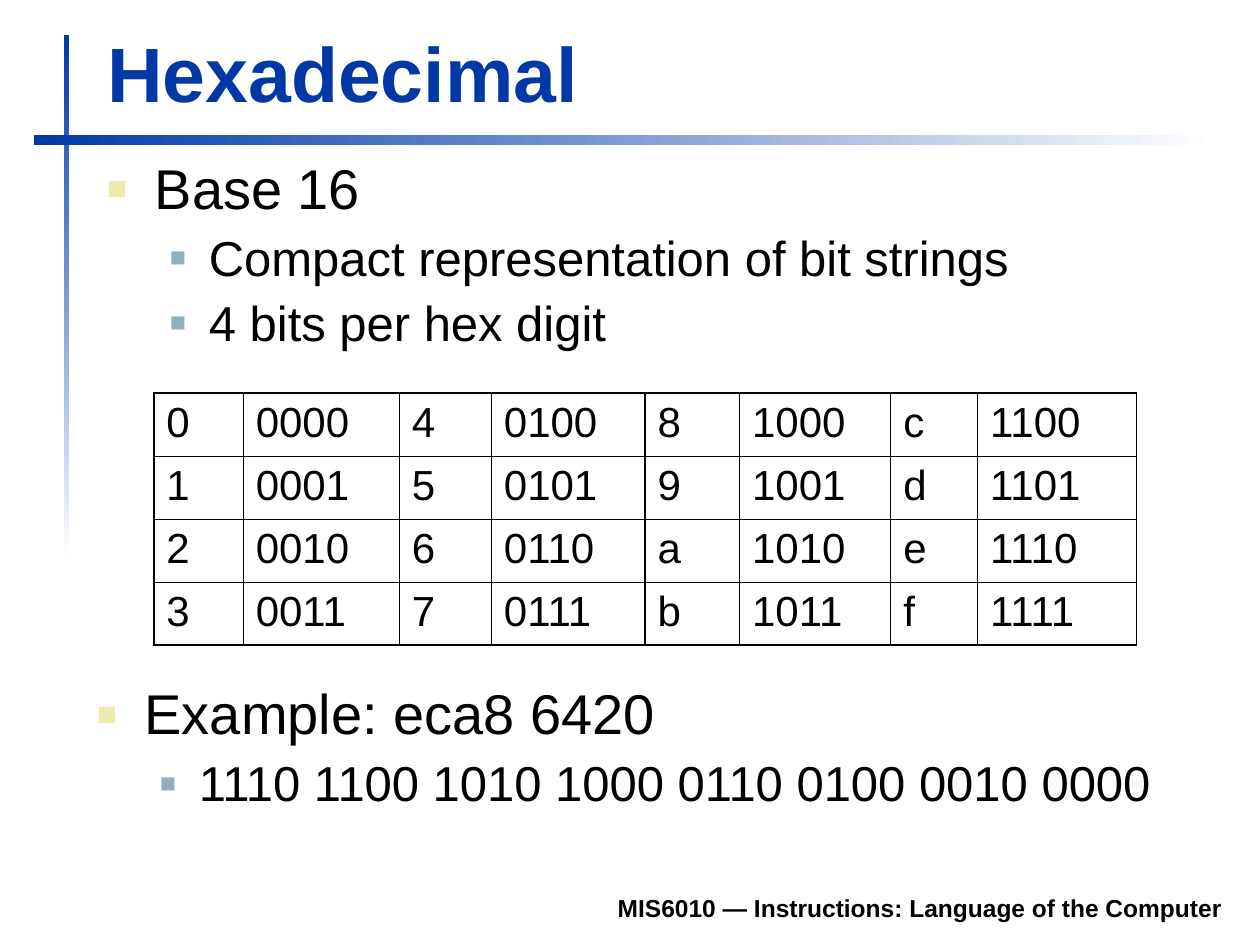
"""Build the slide on hexadecimal notation with its digit-to-bits table."""
from lxml import etree
from pptx import Presentation, util as u
from pptx.dml.color import RGBColor
from pptx.enum import shapes, text
from pptx.oxml import ns

BLUE = RGBColor(0x00, 0x39, 0xA6)
WHITE = RGBColor(0xFF, 0xFF, 0xFF)
BLACK = RGBColor(0x00, 0x00, 0x00)
YELLOW = RGBColor(0xEC, 0xEA, 0xAC)
STEEL = RGBColor(0x91, 0xAF, 0xBF)
FONT = "Arial"
LEVELS = [
    dict(indent=0.38, hang=0.38, before=8, size=32, bullet=YELLOW, percent=60),
    dict(indent=0.81, hang=0.31, before=7, size=28, bullet=STEEL, percent=55),
]


def set_font(paragraph, size, color=BLACK, bold=False):
    font = paragraph.font
    font.name, font.size, font.bold = FONT, u.Pt(size), bold
    font.color.rgb = color


def add_outline(slide, left, top, width, height, points):
    frame = slide.shapes.add_textbox(*map(u.Inches, (left, top, width, height))).text_frame
    frame.word_wrap = True
    for i, (level, wording) in enumerate(points):
        look = LEVELS[level]
        point = frame.paragraphs[0] if i == 0 else frame.add_paragraph()
        point.text, point.level, point.line_spacing = wording, level, 0.9
        point.space_before = u.Pt(look["before"] if i else 0)
        props = point._p.get_or_add_pPr()
        props.set("marL", str(u.Inches(look["indent"])))
        props.set("indent", str(-u.Inches(look["hang"])))
        bullet_color = etree.SubElement(props, ns.qn("a:buClr"))
        etree.SubElement(bullet_color, ns.qn("a:srgbClr"), val=str(look["bullet"]))
        etree.SubElement(props, ns.qn("a:buSzPct"), val=str(look["percent"] * 1000))
        etree.SubElement(props, ns.qn("a:buFont"), typeface=FONT)
        etree.SubElement(props, ns.qn("a:buChar"), char="■")
        set_font(point, look["size"])


prs = Presentation()
prs.slide_width, prs.slide_height = u.Inches(10), u.Inches(7.5)
slide = prs.slides.add_slide(prs.slide_layouts.get_by_name("Title Only"))

for *bounds, angle in [(0.51, 0.28, 0.04, 4.17, 270), (0.27, 1.07, 9.37, 0.08, 0)]:
    rule = slide.shapes.add_shape(shapes.MSO_SHAPE.RECTANGLE, *map(u.Inches, bounds))
    rule.shadow.inherit = False
    rule.line.fill.background()
    rule.fill.gradient()
    rule.fill.gradient_angle = angle
    for stop, color in zip(rule.fill.gradient_stops, (BLUE, WHITE)):
        stop.color.rgb = color

title = slide.shapes.title
title.left, title.top, title.width, title.height = map(u.Inches, (0.75, 0.16, 9.03, 0.83))
title.text_frame.text = "Hexadecimal"
title.text_frame.auto_size = text.MSO_AUTO_SIZE.NONE
title.text_frame.vertical_anchor = text.MSO_ANCHOR.BOTTOM
heading = title.text_frame.paragraphs[0]
heading.alignment = text.PP_ALIGN.LEFT
set_font(heading, 44, BLUE, bold=True)

add_outline(slide, 0.75, 1.23, 9.04, 1.73, [
    (0, "Base 16"),
    (1, "Compact representation of bit strings"),
    (1, "4 bits per hex digit"),
])

widths = [0.71, 1.24, 0.73, 1.22, 0.75, 1.2, 0.69, 1.26]
rows, cols = 4, len(widths)
digits = slide.shapes.add_table(
    rows, cols, *map(u.Inches, (1.22, 3.12, sum(widths), 0.5 * rows))).table
for column, width in zip(digits.columns, widths):
    column.width = u.Inches(width)
vertical = [1.08] + [0.45, 0.75] * (cols // 2 - 1) + [0.45, 1.08]
horizontal = [1.08] + [0.45] * (rows - 1) + [1.08]
for r in range(rows):
    for c in range(cols):
        value = c // 2 * rows + r
        cell = digits.cell(r, c)
        cell.text = f"{value:04b}" if c % 2 else f"{value:x}"
        set_font(cell.text_frame.paragraphs[0], 24)
        borders = {"L": vertical[c], "R": vertical[c + 1],
                   "T": horizontal[r], "B": horizontal[r + 1]}
        for side, weight in borders.items():
            border = etree.SubElement(cell._tc.get_or_add_tcPr(), ns.qn(f"a:ln{side}"),
                                      w=str(u.Pt(weight)))
            paint = etree.SubElement(border, ns.qn("a:solidFill"))
            etree.SubElement(paint, ns.qn("a:srgbClr"), val=str(BLACK))
        cell.fill.background()

add_outline(slide, 0.67, 5.4, 9.04, 1.26, [
    (0, "Example: eca8 6420"),
    (1, "1110 1100 1010 1000 0110 0100 0010 0000"),
])

footer = slide.shapes.add_textbox(*map(u.Inches, (1.85, 6.98, 7.95, 0.39))).text_frame
footer.word_wrap = True
footer.vertical_anchor = text.MSO_ANCHOR.BOTTOM
footer.text = "MIS6010 — Instructions: Language of the Computer"
footer.paragraphs[0].alignment = text.PP_ALIGN.RIGHT
set_font(footer.paragraphs[0], 14, bold=True)

prs.save("out.pptx")
